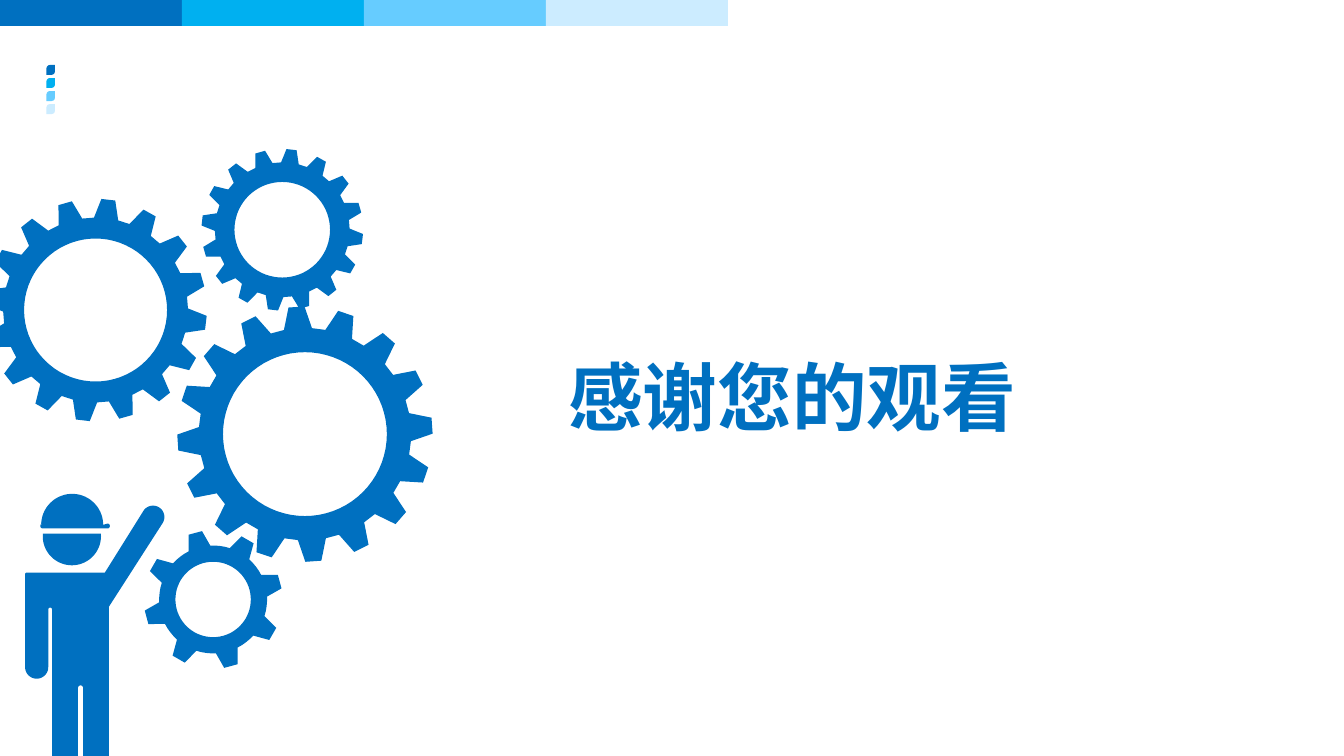
from dataclasses import dataclass
from math import cos, radians, sin

from lxml.etree import SubElement
from pptx import Presentation
from pptx.dml.color import RGBColor
from pptx.enum.shapes import MSO_SHAPE as Preset
from pptx.enum.text import MSO_AUTO_SIZE as AutoSize
from pptx.oxml.ns import qn
from pptx.util import Pt


@dataclass(frozen=True)
class Theme:
    blues: tuple = ("0070C0", "00B0F0", "66CCFF", "CCECFF")
    main: str = "0070C0"
    font: str = "Noto Sans CJK SC"
    title_size: float = 40


THEME = Theme()


def paint(shape, color):
    shape.shadow.inherit = False
    shape.fill.solid()
    shape.fill.fore_color.rgb = RGBColor.from_string(color)
    shape.line.fill.background()


def add_preset(slide, preset, left, top, width, height, color):
    shape = slide.shapes.add_shape(preset, Pt(left), Pt(top), Pt(width), Pt(height))
    paint(shape, color)
    return shape


def arc(center, radius, start, end, step=5):
    """Points along a circle; angles in degrees, clockwise from the right."""
    count = max(1, round(abs(end - start) / step))
    angles = [radians(start + (end - start) * i / count) for i in range(count + 1)]
    return [(center[0] + radius * cos(a), center[1] + radius * sin(a)) for a in angles]


def add_outline(slide, *contours):
    """Draw one filled shape; every contour after the first cuts a hole."""
    scaled = [[(Pt(x), Pt(y)) for x, y in contour] for contour in contours]
    builder = slide.shapes.build_freeform(*scaled[0][0])
    for index, contour in enumerate(scaled):
        if index:
            builder.move_to(*contour[0])
        builder.add_line_segments(contour[1:], close=True)
    paint(builder.convert_to_shape(), THEME.main)


def add_gear(slide, center, outer, root, hole, teeth, phase, tip_half, base_half):
    """Half widths of a tooth and the phase of the first tooth are in degrees."""
    pitch = 360 / teeth
    rim = []
    for tooth in range(teeth):
        middle = phase + tooth * pitch
        rim += arc(center, outer, middle - tip_half, middle + tip_half, 2 * tip_half)
        rim += arc(center, root, middle + base_half, middle + pitch - base_half)
    add_outline(slide, rim, arc(center, hole, 0, -360))


def add_worker(slide):
    helmet = (arc((38.7, 281.2), 16.6, 180, 360)
              + arc((57.6, 281.8), 1.3, -90, 90, 15)
              + arc((22.9, 281.8), 1.3, 90, 270, 15))
    face = arc((38.5, 287.3), 15.6, -5, 185)
    raised_arm = [(56.2, 306.8)] + arc((82, 277), 6.1, -149, 31) + [(58.4, 325)]
    legs = (arc((51.5, 408.6), 6.9, 0, 180)
            + arc((43.2, 368.6), 1.4, 0, -180, 15)
            + arc((34.9, 408.6), 6.9, 0, 180))
    lowered_arm = (arc((26.9, 326.5), 1, 0, -180, 15)
                   + arc((19.7, 357.4), 6.2, 0, 180)
                   + arc((14.3, 307.6), 0.8, 180, 270, 15))
    for outline in (helmet, raised_arm + legs + lowered_arm, face):
        add_outline(slide, outline)


def add_color_marks(slide):
    """Top bar and the small column of leaves, both in the four blues."""
    for index, color in enumerate(THEME.blues):
        add_preset(slide, Preset.RECTANGLE, index * 97.5, 0, 97.5, 13.9, color)
        leaf = add_preset(slide, Preset.ROUND_2_DIAG_RECTANGLE,
                          24.9, 34.8 + index * 7, 4.6, 5.3, color)
        leaf.adjustments[0] = 0.4


def add_thanks(slide, text):
    box = slide.shapes.add_textbox(Pt(297.4), Pt(184.3), Pt(257), Pt(55.4))
    frame = box.text_frame
    frame.word_wrap = False
    frame.auto_size = AutoSize.SHAPE_TO_FIT_TEXT
    run = frame.paragraphs[0].add_run()
    run.text = text
    run.font.size = Pt(THEME.title_size)
    run.font.bold = True
    run.font.name = THEME.font
    run.font.color.rgb = RGBColor.from_string(THEME.main)
    SubElement(run.font._element, qn("a:ea"), typeface=THEME.font)


def main():
    deck = Presentation()
    deck.slide_width, deck.slide_height = Pt(720), Pt(405)
    slide = deck.slides.add_slide(deck.slide_layouts[6])

    add_color_marks(slide)
    add_thanks(slide, "感谢您的观看")
    add_gear(slide, (163.4, 232.6), 68.4, 56.9, 43.9, 16, -3.8, 3.6, 7.6)
    add_gear(slide, (51.2, 166.1), 59.6, 49.5, 38.3, 16, 6.6, 3.6, 7.6)
    add_gear(slide, (151.2, 123.1), 43.3, 36.1, 25.6, 16, 6.6, 3.6, 7.6)
    add_gear(slide, (114.2, 321.2), 37.1, 28.9, 20.2, 8, -15, 5.8, 12)
    add_worker(slide)

    deck.save("out.pptx")


if __name__ == "__main__":
    main()
